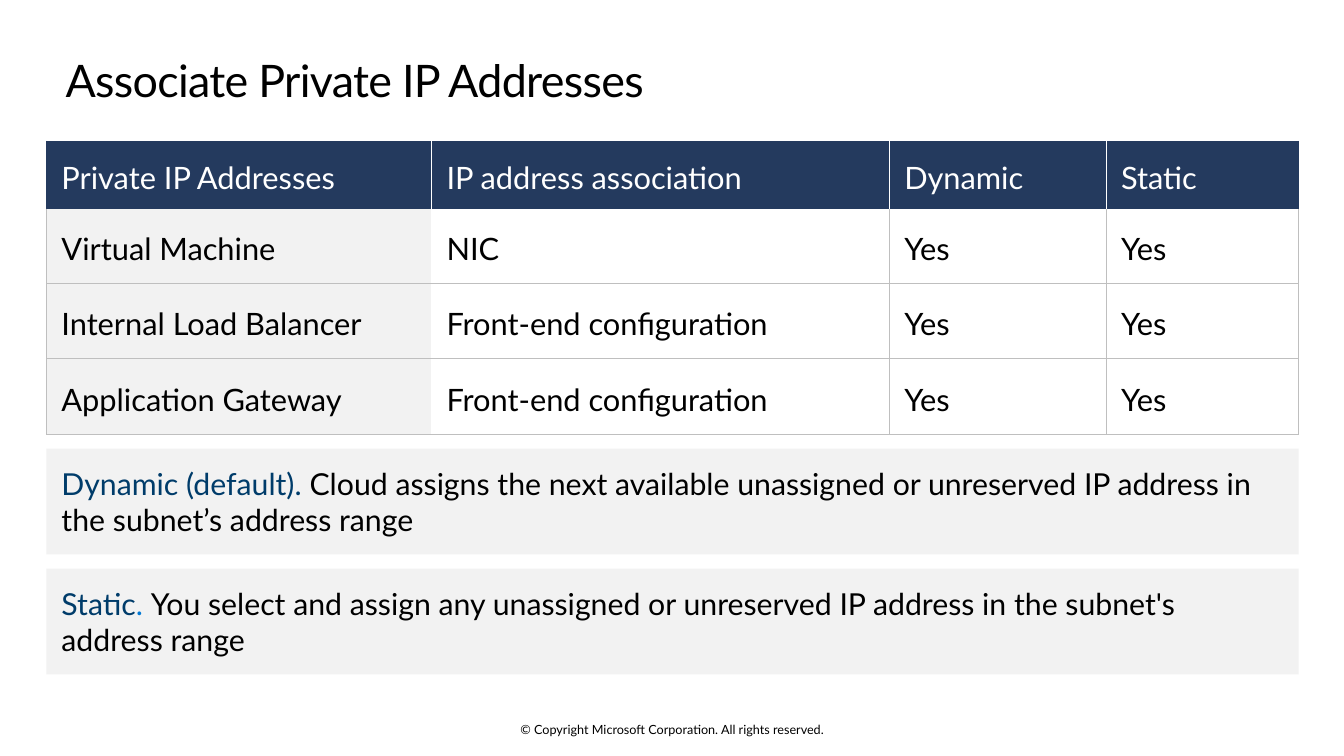
from dataclasses import dataclass
from lxml.etree import SubElement
from pptx import Presentation
from pptx.dml.color import RGBColor
from pptx.enum.shapes import MSO_SHAPE as Shape
from pptx.enum.text import MSO_ANCHOR as Anchor, MSO_AUTO_SIZE as AutoSize, PP_ALIGN as Align
from pptx.oxml.ns import qn
from pptx.util import Inches, Pt


@dataclass(frozen=True)
class Theme:
    font: str = "Lato"
    black: str = "000000"
    white: str = "FFFFFF"
    navy: str = "243A5E"
    panel: str = "F2F2F2"
    grid: str = "BFBFBF"
    term: str = "003C6A"
    accent: str = "0078D4"
    title_size: float = 32
    table_size: float = 22
    panel_size: float = 21.6
    footer_size: float = 9


def style_run(run, size, color):
    run.font.name = theme.font
    run.font.size = Pt(size)
    run.font.color.rgb = RGBColor.from_string(color)


def set_borders(cell, colors):
    properties = cell._tc.get_or_add_tcPr()
    for side, color in zip("LRTB", colors):
        line = SubElement(properties, qn(f"a:ln{side}"), w=str(Pt(0.5)))
        if color:
            fill = SubElement(line, qn("a:solidFill"))
            SubElement(fill, qn("a:srgbClr"), val=color)
        else:
            SubElement(line, qn("a:noFill"))


theme = Theme()
presentation = Presentation()
presentation.slide_width = Inches(13.33)
presentation.slide_height = Inches(7.5)
slide = presentation.slides.add_slide(presentation.slide_layouts[5])

left = Inches(0.46)
column_widths = [Inches(width) for width in (3.82, 4.54, 2.15, 1.91)]
content_width = sum(column_widths)
pad_x, pad_y = Inches(0.15), Inches(0.1)

title = slide.shapes.title
title.left, title.top, title.width, title.height = left, Inches(0.48), content_width, Inches(0.74)
frame = title.text_frame
frame.text = "Associate Private IP Addresses"
frame.auto_size = AutoSize.NONE
frame.vertical_anchor = Anchor.TOP
frame.margin_left, frame.margin_right = Inches(0.19), Inches(0.16)
frame.margin_top = frame.margin_bottom = pad_y
paragraph = frame.paragraphs[0]
paragraph.alignment = Align.LEFT
paragraph.line_spacing = 0.9
style_run(paragraph.runs[0], theme.title_size, theme.black)
paragraph.runs[0].font._element.set("spc", "-50")

rows = [
    ("Private IP Addresses", "IP address association", "Dynamic", "Static"),
    ("Virtual Machine", "NIC", "Yes", "Yes"),
    ("Internal Load Balancer", "Front-end configuration", "Yes", "Yes"),
    ("Application Gateway", "Front-end configuration", "Yes", "Yes"),
]
row_heights = [Inches(0.67)] + [Inches(0.745)] * 3
table = slide.shapes.add_table(
    len(rows), len(column_widths), left, Inches(1.4), content_width, sum(row_heights)
).table
table.horz_banding = False
for column, width in zip(table.columns, column_widths):
    column.width = width
last = len(column_widths) - 1
for row_index, (values, height) in enumerate(zip(rows, row_heights)):
    table.rows[row_index].height = height
    header = row_index == 0
    for column_index, value in enumerate(values):
        cell = table.cell(row_index, column_index)
        cell.text = value
        cell.vertical_anchor = Anchor.MIDDLE
        cell.margin_left = cell.margin_right = pad_x
        cell.margin_top = cell.margin_bottom = pad_y
        paragraph = cell.text_frame.paragraphs[0]
        paragraph.line_spacing = 1.15
        style_run(paragraph.runs[0], theme.table_size, theme.white if header else theme.black)
        if header:
            set_borders(cell, (
                theme.white if column_index else theme.navy,
                theme.white if column_index < last else theme.navy,
                theme.navy,
                None,
            ))
        else:
            set_borders(cell, (
                None if column_index == 1 else theme.grid,
                theme.grid if column_index else None,
                theme.grid if row_index > 1 else None,
                theme.grid,
            ))
        if header or column_index == 0:
            cell.fill.solid()
            cell.fill.fore_color.rgb = RGBColor.from_string(theme.navy if header else theme.panel)
        else:
            cell.fill.background()

definitions = [
    [
        ("Dynamic (default). ", theme.term),
        ("Cloud assigns the next available unassigned or unreserved IP address in "
         "the subnet’s address range", theme.black),
    ],
    [
        ("Static", theme.term),
        (". ", theme.accent),
        ("You select and assign any unassigned or unreserved IP address in "
         "the subnet's address range", theme.black),
    ],
]
panel_top, panel_pitch, panel_height = Inches(4.45), Inches(1.19), Inches(1.05)
for index, definition in enumerate(definitions):
    panel = slide.shapes.add_shape(
        Shape.RECTANGLE, left, panel_top + index * panel_pitch, content_width, panel_height
    )
    panel.shadow.inherit = False
    panel.fill.solid()
    panel.fill.fore_color.rgb = RGBColor.from_string(theme.panel)
    panel.line.fill.background()
    frame = panel.text_frame
    frame.word_wrap = True
    frame.vertical_anchor = Anchor.MIDDLE
    frame.margin_left = frame.margin_right = pad_x
    frame.margin_top = frame.margin_bottom = pad_y
    paragraph = frame.paragraphs[0]
    paragraph.alignment = Align.LEFT
    for text, color in definition:
        run = paragraph.add_run()
        run.text = text
        style_run(run, theme.panel_size, color)

footer_width = Inches(4.5)
footer = slide.shapes.add_textbox(
    (presentation.slide_width - footer_width) // 2, Inches(7.16), footer_width, Inches(0.15)
)
frame = footer.text_frame
frame.text = "© Copyright Microsoft Corporation. All rights reserved."
frame.word_wrap = True
frame.vertical_anchor = Anchor.MIDDLE
frame.margin_left = frame.margin_right = frame.margin_top = frame.margin_bottom = 0
frame.paragraphs[0].alignment = Align.CENTER
style_run(frame.paragraphs[0].runs[0], theme.footer_size, theme.black)

presentation.save("out.pptx")
